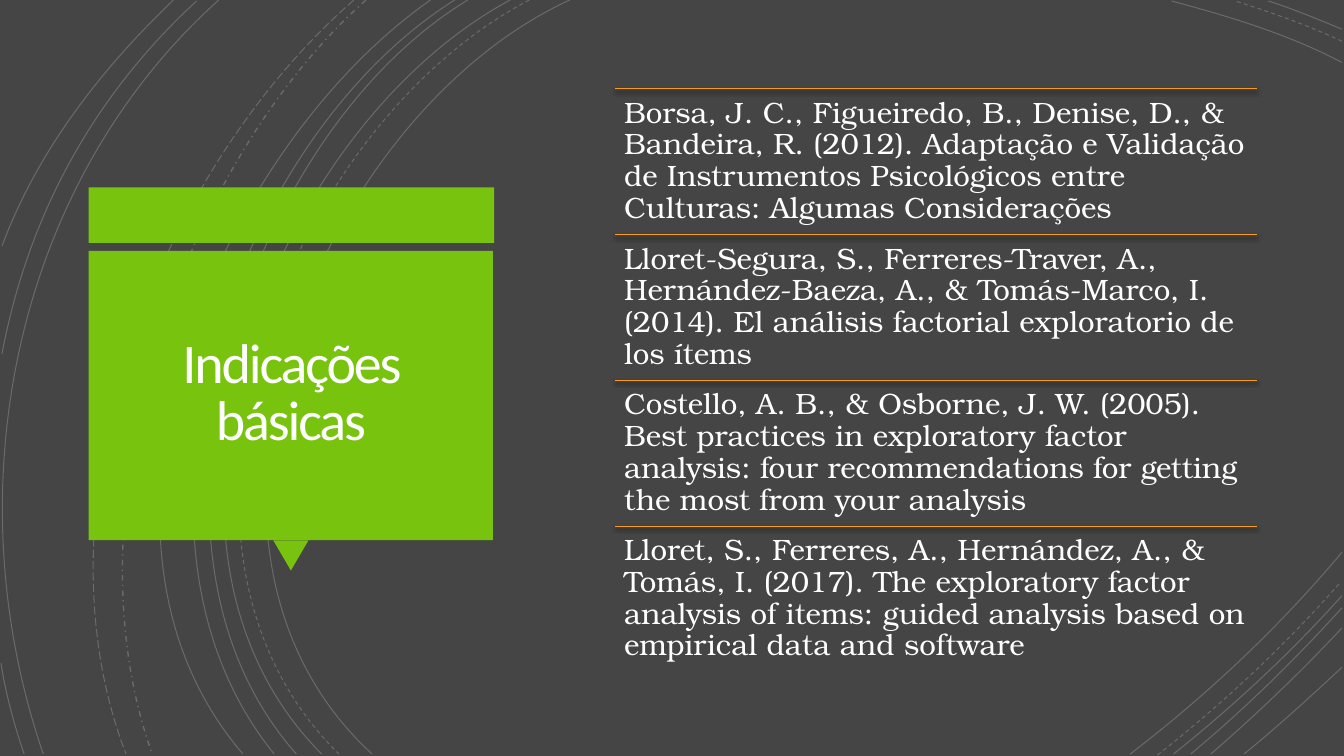
from typing import NamedTuple

from lxml import etree
from pptx import Presentation
from pptx import util as u
from pptx.dml.color import RGBColor
from pptx.enum import dml, shapes, text
from pptx.oxml import ns

WHITE, GREEN, ORANGE, GREY = "FFFFFF", "78C30D", "F89C19", "454545"
SOLID, DASH = dml.MSO_LINE.SOLID, dml.MSO_LINE.DASH
DASH_DOT, LONG_DASH = dml.MSO_LINE.DASH_DOT, dml.MSO_LINE.LONG_DASH


class Arc(NamedTuple):
    points: tuple
    dash: dml.MSO_LINE = SOLID
    width: float = 0.75


class Block(NamedTuple):
    preset: shapes.MSO_SHAPE
    box: tuple
    rotation: int = 0


ARCS = [
    Arc(((5.65, 0), (3.15, 1.15), (1.43, 5.4), (3.69, 7.48))),
    Arc(((13.31, 0.62), (12.78, 0.34), (12.18, 0.16), (11.62, 0.01))),
    Arc(((11.21, 7.48), (11.97, 6.9), (12.69, 6.22), (13.31, 5.48))),
    Arc(((5.25, 0), (2.85, 1.25), (1.23, 5.37), (3.36, 7.48)), DASH),
    Arc(((13.31, 0.41), (12.97, 0.25), (12.6, 0.12), (12.25, 0.01)), DASH),
    Arc(((11.48, 7.49), (12.13, 6.98), (12.75, 6.4), (13.3, 5.77)), DASH),
    Arc(((5.06, 0), (2.7, 1.27), (1.1, 5.37), (3.19, 7.48))),
    Arc(((13.31, 0.29), (13.07, 0.19), (12.83, 0.09), (12.58, 0.01))),
    Arc(((11.64, 7.48), (12.23, 7.01), (12.8, 6.48), (13.31, 5.91))),
    Arc(((4.64, 0), (2.44, 1.33), (1.1, 5.41), (2.94, 7.48))),
    Arc(((11.81, 7.48), (12.34, 7.04), (12.84, 6.55), (13.31, 6.03))),
    Arc(((4.51, 0), (2.31, 1.38), (0.97, 5.33), (2.72, 7.48))),
    Arc(((12.01, 7.48), (12.46, 7.09), (12.9, 6.67), (13.31, 6.23))),
    Arc(((4.27, 0), (2.17, 1.47), (0.53, 5.29), (2.41, 7.48))),
    Arc(((12.34, 7.48), (12.67, 7.21), (12.99, 6.92), (13.31, 6.62))),
    Arc(((3.63, 0), (1.76, 1.66), (0.65, 5.09), (1.51, 7.48)), DASH_DOT, 1),
    Arc(((3.51, 0), (1.57, 1.69), (0.29, 4.99), (1.25, 7.48)), LONG_DASH),
    Arc(((2.17, 0), (0.11, 1.85), (-0.46, 4.9), (0.43, 7.48))),
    Arc(((1.95, 0.01), (0.92, 0.96), (0.28, 2.14), (0.02, 3.51))),
    Arc(((0.01, 6.58), (0.06, 6.89), (0.14, 7.19), (0.24, 7.48))),
    Arc(((1.72, 0), (1, 0.69), (0.37, 1.5), (0.02, 2.44))),
]
CALLOUT = [
    Block(shapes.MSO_SHAPE.RECTANGLE, (0.88, 1.86, 4.02, 0.55)),
    Block(shapes.MSO_SHAPE.ISOSCELES_TRIANGLE, (2.71, 5.36, 0.35, 0.3), 180),
    Block(shapes.MSO_SHAPE.RECTANGLE, (0.88, 2.49, 4.01, 2.87)),
]
REFERENCES = [
    "Borsa, J. C., Figueiredo, B., Denise, D., & Bandeira, R. (2012). Adaptação e "
    "Validação de Instrumentos Psicológicos entre Culturas: Algumas Considerações",
    "Lloret-Segura, S., Ferreres-Traver, A., Hernández-Baeza, A., & Tomás-Marco, I. "
    "(2014). El análisis factorial exploratorio de los ítems",
    "Costello, A. B., & Osborne, J. W. (2005). Best practices in exploratory factor "
    "analysis: four recommendations for getting the most from your analysis",
    "Lloret, S., Ferreres, A., Hernández, A., & Tomás, I. (2017). The exploratory "
    "factor analysis of items: guided analysis based on empirical data and software",
]
LIST_LEFT, LIST_TOP, LIST_WIDTH, ROW_HEIGHT = 6.1, 0.88, 6.37, 1.447


def rgb(value: str) -> RGBColor:
    return RGBColor.from_string(value)


def inches(values: tuple) -> list:
    return [u.Inches(value) for value in values]


def add_child(parent, tag: str, **attributes: str):
    return etree.SubElement(parent, ns.qn(tag), attributes)


def draw_arc(slide, arc: Arc) -> None:
    start, *rest = [inches(point) for point in arc.points]
    builder = slide.shapes.build_freeform(*start)
    builder.add_line_segments(rest, close=False)
    curve = builder.convert_to_shape()
    curve.shadow.inherit = False
    curve.fill.background()
    curve.line.color.rgb = rgb(WHITE)
    curve.line.width = u.Pt(arc.width)
    curve.line.dash_style = arc.dash
    color = next(curve.element.iter(ns.qn("a:ln"))).find(".//" + ns.qn("a:srgbClr"))
    add_child(color, "a:alpha", val="20000")
    segments = list(curve.element.iter(ns.qn("a:lnTo")))
    bezier = add_child(segments[0].getparent(), "a:cubicBezTo")
    for segment in segments:
        bezier.append(segment[0])
        segment.getparent().remove(segment)


def draw_block(slide, block: Block) -> None:
    panel = slide.shapes.add_shape(block.preset, *inches(block.box))
    panel.shadow.inherit = False
    panel.rotation = block.rotation
    panel.fill.solid()
    panel.fill.fore_color.rgb = rgb(GREEN)
    panel.line.fill.background()


def set_frame(frame, inset: float, anchor: text.MSO_ANCHOR) -> None:
    frame.word_wrap = True
    frame.auto_size = text.MSO_AUTO_SIZE.NONE
    frame.vertical_anchor = anchor
    frame.margin_left = frame.margin_right = u.Inches(inset)
    frame.margin_top = frame.margin_bottom = u.Inches(inset)


def set_font(paragraph, name: str, size: float, color: str, spacing: float) -> None:
    paragraph.line_spacing = spacing
    paragraph.font.name = name
    paragraph.font.size = u.Pt(size)
    paragraph.font.color.rgb = rgb(color)


def write_title(slide) -> None:
    title = slide.shapes.title
    title.element.getparent().append(title.element)
    title.left, title.top, title.width, title.height = inches((0.97, 2.57, 3.83, 2.69))
    title.text_frame.text = "Indicações básicas"
    set_frame(title.text_frame, 0.25, text.MSO_ANCHOR.MIDDLE)
    heading = title.text_frame.paragraphs[0]
    heading.alignment = text.PP_ALIGN.CENTER
    set_font(heading, "Calibri", 40, "FFFEFF", 0.85)
    heading.runs[0].font.element.set("spc", "-150") if hasattr(
        heading.runs[0].font, "element"
    ) else next(title.element.iter(ns.qn("a:r"))).get_or_add_rPr().set("spc", "-150")


def draw_rule(slide, top: float) -> None:
    ends = inches((LIST_LEFT, top, LIST_LEFT + LIST_WIDTH, top))
    rule = slide.shapes.add_connector(shapes.MSO_CONNECTOR.STRAIGHT, *ends)
    rule.line.color.rgb = rgb(ORANGE)
    rule.line.width = u.Pt(0.75)
    effects = add_child(rule.element.spPr, "a:effectLst")
    shadow = add_child(effects, "a:outerShdw", blurRad=str(u.Pt(3)),
                       dist=str(u.Pt(2)), dir="5400000", rotWithShape="0")
    add_child(add_child(shadow, "a:srgbClr", val="000000"), "a:alpha", val="75000")


def write_reference(slide, reference: str, top: float) -> None:
    box = slide.shapes.add_textbox(*inches((LIST_LEFT, top, LIST_WIDTH, ROW_HEIGHT)))
    box.text_frame.text = reference
    set_frame(box.text_frame, 0.09, text.MSO_ANCHOR.TOP)
    set_font(box.text_frame.paragraphs[0], "TeX Gyre Bonum", 21, WHITE, 0.9)


def main() -> None:
    deck = Presentation()
    deck.slide_width, deck.slide_height = inches((13.33, 7.5))
    slide = deck.slides.add_slide(deck.slide_layouts[5])
    slide.background.fill.solid()
    slide.background.fill.fore_color.rgb = rgb(GREY)
    for arc in ARCS:
        draw_arc(slide, arc)
    for block in CALLOUT:
        draw_block(slide, block)
    write_title(slide)
    for row, reference in enumerate(REFERENCES):
        top = LIST_TOP + row * ROW_HEIGHT
        draw_rule(slide, top)
        write_reference(slide, reference, top)
    deck.save("out.pptx")


if __name__ == "__main__":
    main()
